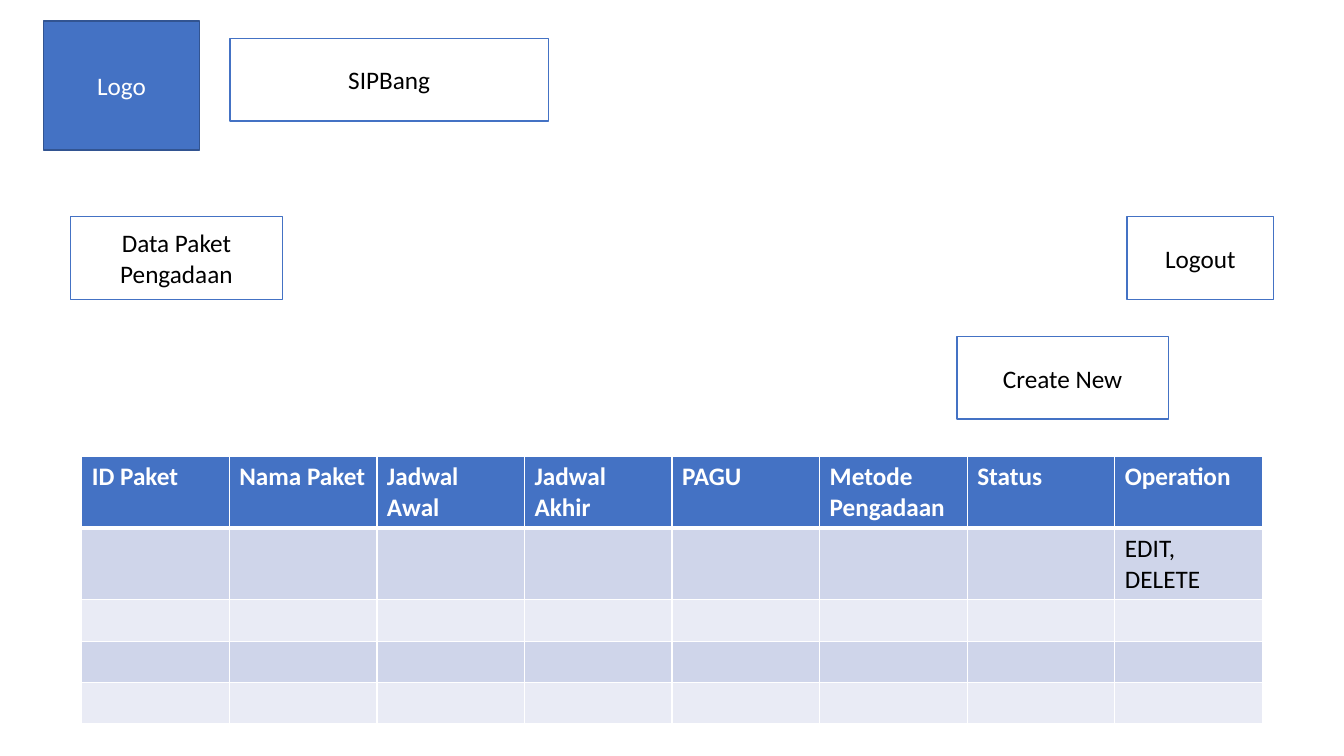
from lxml import etree
from pptx import Presentation
from pptx.dml.color import RGBColor
from pptx.enum.shapes import MSO_SHAPE
from pptx.enum.text import MSO_ANCHOR, MSO_AUTO_SIZE, PP_ALIGN
from pptx.oxml.ns import qn
from pptx.util import Inches, Pt

BLUE, DARK_BLUE, WHITE, BLACK = "4472C4", "325491", "FFFFFF", "000000"
BANDS = ("CFD5EA", "E9EBF5")


def color(hex_code):
    return RGBColor.from_string(hex_code)


class Page:
    """Holds the style and the slide; lengths are percent of the slide size."""
    font, size = "Calibri", 18

    def __init__(self, prs, layout):
        self.width, self.height = prs.slide_width, prs.slide_height
        self.slide = prs.slides.add_slide(prs.slide_layouts[layout])

    def place(self, x, y, w, h):
        return (int(self.width * x / 100), int(self.height * y / 100),
                int(self.width * w / 100), int(self.height * h / 100))

    def label(self, frame, text, ink, bold=False, align=PP_ALIGN.LEFT):
        paragraph = frame.paragraphs[0]
        paragraph.alignment = align
        run = paragraph.add_run()
        run.text = text
        run.font.name, run.font.size, run.font.bold = self.font, Pt(self.size), bold
        run.font.color.rgb = color(ink)

    def style_box(self, shape, text, fill, line, ink):
        shape.fill.solid()
        shape.fill.fore_color.rgb = color(fill)
        shape.line.color.rgb = color(line)
        shape.line.width = Pt(1)
        frame = shape.text_frame
        frame.word_wrap = True
        frame.auto_size = MSO_AUTO_SIZE.NONE
        frame.vertical_anchor = MSO_ANCHOR.MIDDLE
        self.label(frame, text, ink, align=PP_ALIGN.CENTER)

    def box(self, text, *area, fill=WHITE, line=BLUE, ink=BLACK):
        shape = self.slide.shapes.add_shape(MSO_SHAPE.RECTANGLE, *self.place(*area))
        shape.shadow.inherit = False
        self.style_box(shape, text, fill, line, ink)

    def title(self, text, *area):
        shape = self.slide.shapes.title
        shape.left, shape.top, shape.width, shape.height = self.place(*area)
        self.style_box(shape, text, WHITE, BLUE, BLACK)

    def borders(self, cell, top, bottom):
        props = cell._tc.get_or_add_tcPr()
        sides = {"lnL": 1, "lnR": 1, "lnT": top, "lnB": bottom}
        for index, (side, width) in enumerate(sides.items()):
            line = etree.Element(qn("a:" + side), w=str(int(Pt(width))))
            fill = etree.SubElement(line, qn("a:solidFill"))
            etree.SubElement(fill, qn("a:srgbClr"), val=WHITE)
            props.insert(index, line)

    def table(self, rows, x, y, w, row_height):
        area = self.place(x, y, w, row_height * len(rows))
        table = self.slide.shapes.add_table(len(rows), len(rows[0]), *area).table
        for r, row in enumerate(rows):
            header = r == 0
            for c, text in enumerate(row):
                cell = table.cell(r, c)
                cell.fill.solid()
                cell.fill.fore_color.rgb = color(BLUE if header else BANDS[(r - 1) % 2])
                self.borders(cell, 3 if r == 1 else 1, 3 if header else 1)
                if text:
                    self.label(cell.text_frame, text, WHITE if header else BLACK, header)


prs = Presentation()
prs.slide_width, prs.slide_height = Inches(13.33), Inches(7.5)
page = Page(prs, 5)
BOX_HEIGHT, BUTTON_WIDTH, MENU_TOP = 10.93, 15.75, 28.67

# Page header
page.box("Logo", 3.23, 2.8, 11.63, 17.07, fill=BLUE, line=DARK_BLUE, ink=WHITE)
page.title("SIPBang", 17.1, 5.07, 23.71, BOX_HEIGHT)

# Menu row
page.box("Data Paket Pengadaan", 5.25, MENU_TOP, BUTTON_WIDTH, BOX_HEIGHT)
page.box("Logout", 83.87, MENU_TOP, 10.88, BOX_HEIGHT)

# Package list with its button
headings = ["ID Paket", "Nama Paket", "Jadwal Awal", "Jadwal Akhir", "PAGU",
            "Metode Pengadaan", "Status", "Operation"]
blank = [""] * len(headings)
first_package = blank[:-1] + ["EDIT, DELETE"]
page.table([headings, first_package] + [blank] * 3, 6.08, 60.4, 87.85, 5.47)
page.box("Create New", 71.19, 44.53, BUTTON_WIDTH, BOX_HEIGHT)

prs.save("out.pptx")
